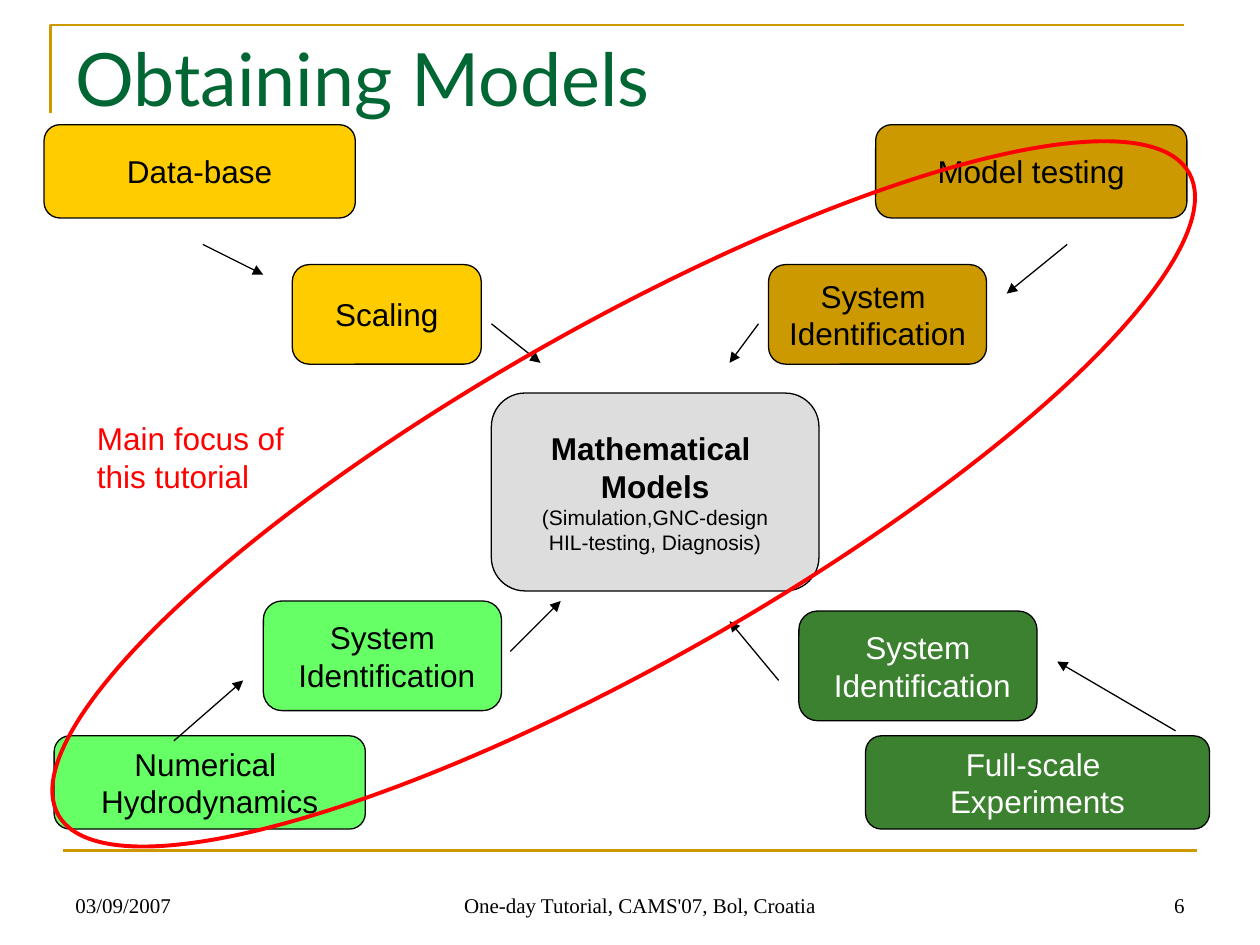
from pptx import Presentation
from pptx.dml.color import RGBColor as Rgb
from pptx.enum.shapes import MSO_CONNECTOR as Conn, MSO_SHAPE as Kind
from pptx.enum.text import MSO_ANCHOR as Anchor, PP_ALIGN as Align
from pptx.oxml.ns import qn
from pptx.util import Inches, Pt
from lxml.etree import SubElement as Sub

HUE = {
    "black": "000000", "white": "FFFFFF", "red": "FF0000", "grey": "DDDDDD",
    "yellow": "FFCC00", "gold": "CC9900", "lime": "66FF66",
    "green": "3B812F", "title": "006633",
}

deck = Presentation()
deck.slide_width, deck.slide_height = Inches(10), Inches(7.5)
col, row = deck.slide_width / 100, deck.slide_height / 75
slide = deck.slides.add_slide(deck.slide_layouts[6])
shapes = slide.shapes


def grid(x, y, w, h):
    return round(x * col), round(y * row), round(w * col), round(h * row)


def write(shape, lines, hue, align, anchor, wrap, font="Arial"):
    frame = shape.text_frame
    frame.word_wrap = wrap
    frame.vertical_anchor = anchor
    for i, (text, size, bold) in enumerate(lines):
        para = frame.add_paragraph() if i else frame.paragraphs[0]
        para.alignment = align
        run = para.add_run()
        run.text = text
        run.font.name, run.font.size, run.font.bold = font, Pt(size), bold
        run.font.color.rgb = Rgb.from_string(HUE[hue])


pen = shapes.build_freeform(4.2, 9.2, scale=(col, row))
pen.add_line_segments([(4.2, 2.5), (94.2, 2.5)], close=False)
frame = pen.convert_to_shape()
frame.shadow.inherit = False
frame.fill.background()
rule = shapes.add_connector(Conn.STRAIGHT, *grid(5, 67.5, 95, 67.5))
Sub(rule._element.spPr, qn("a:effectLst"))
for edge in (frame, rule):
    edge.line.color.rgb = Rgb.from_string(HUE["gold"])
    edge.line.width = Pt(1.5)

serif = "Times New Roman"
labels = [
    ("03/09/2007", 5, 68.3, 23.3, 5, 12, serif, "black", Align.LEFT, Anchor.BOTTOM),
    ("One-day Tutorial, CAMS'07, Bol, Croatia", 31.1, 68.3, 39.4, 5, 12, serif,
     "black", Align.CENTER, Anchor.BOTTOM),
    ("6", 71.7, 68.3, 23.3, 5, 12, serif, "black", Align.RIGHT, Anchor.BOTTOM),
    ("Obtaining Models", 5, 2.1, 90, 12.5, 42, "Lato", "title", Align.LEFT, Anchor.TOP),
    ("Main focus of this tutorial", 6.7, 32.8, 18.9, 7, 18, "Arial", "red",
     Align.LEFT, Anchor.TOP),
]
for text, x, y, w, h, size, font, hue, align, anchor in labels:
    box = shapes.add_textbox(*grid(x, y, w, h))
    write(box, [(text, size, False)], hue, align, anchor, True, font)

nodes = [
    (39, 31.2, 26, 15.7, "grey", "black", ["Mathematical ", "Models"],
     ["(Simulation,GNC-design", "HIL-testing, Diagnosis)"]),
    (63.4, 48.5, 18.9, 8.7, "green", "white", ["System", " Identification"], []),
    (3.5, 9.9, 24.7, 7.4, "yellow", "black", ["Data-base"], []),
    (69.5, 9.9, 24.7, 7.4, "gold", "black", ["Model testing"], []),
    (68.7, 58.4, 27.3, 7.4, "green", "white", ["Full-scale ", "Experiments"], []),
    (4.3, 58.4, 24.7, 7.4, "lime", "black", ["Numerical ", "Hydrodynamics"], []),
    (23.2, 21, 15, 7.9, "yellow", "black", ["Scaling"], []),
    (61, 21, 17.3, 7.9, "gold", "black", ["System ", "Identification"], []),
    (20.9, 47.7, 18.9, 8.7, "lime", "black", ["System", " Identification"], []),
]
for x, y, w, h, fill, hue, heads, notes in nodes:
    node = shapes.add_shape(Kind.ROUNDED_RECTANGLE, *grid(x, y, w, h))
    node.shadow.inherit = False
    node.adjustments[0] = 0.17
    node.fill.solid()
    node.fill.fore_color.rgb = Rgb.from_string(HUE[fill])
    node.line.color.rgb = Rgb.from_string(HUE["black"])
    node.line.width = Pt(0.75)
    lines = [(t, 18, bool(notes)) for t in heads] + [(t, 12, False) for t in notes]
    write(node, lines, hue, Align.CENTER, Anchor.MIDDLE, False)

arrows = [
    (16.1, 19.4, 20.9, 21.8), (39, 25.7, 42.9, 28.8),
    (84.7, 19.4, 79.9, 23.3), (60.2, 25.7, 57.9, 28.8),
    (13.8, 58.8, 19.3, 54), (40.5, 51.7, 44.5, 47.7),
    (61.8, 54, 57.9, 49.3), (93.3, 58, 83.9, 52.5),
]
for ends in arrows:
    arrow = shapes.add_connector(Conn.STRAIGHT, *grid(*ends))
    arrow.line.color.rgb = Rgb.from_string(HUE["black"])
    arrow.line.width = Pt(0.75)
    Sub(arrow.line._get_or_add_ln(), qn("a:tailEnd"), type="triangle")
    Sub(arrow._element.spPr, qn("a:effectLst"))

focus = shapes.add_shape(Kind.OVAL, *grid(-2.1, 25.9, 103.2, 26.6))
focus.shadow.inherit = False
focus.rotation = 330.4
focus.fill.background()
focus.line.color.rgb = Rgb.from_string(HUE["red"])
focus.line.width = Pt(2.25)

deck.save("out.pptx")
